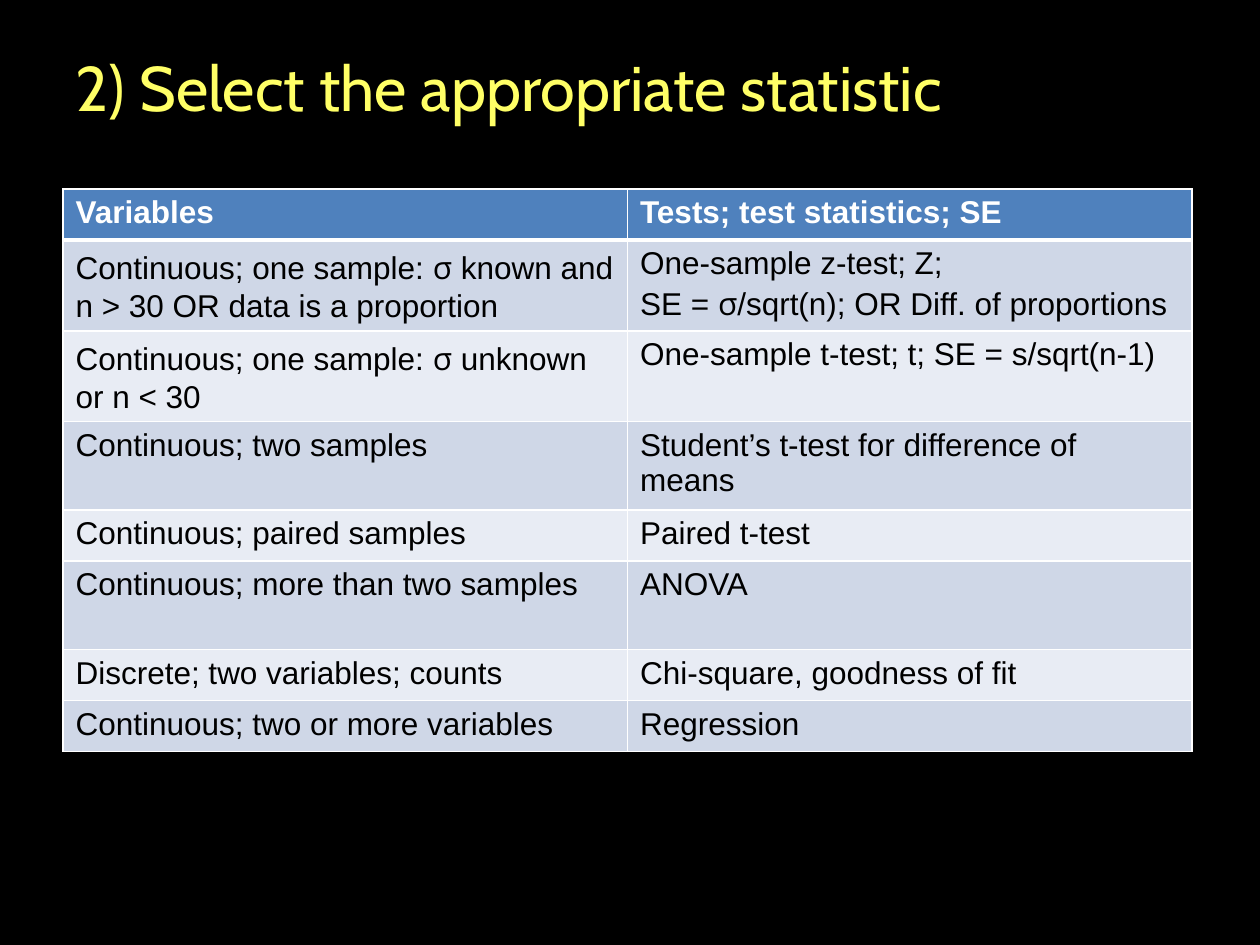
from dataclasses import dataclass

import pptx
import pptx.dml.color
import pptx.enum.text
import pptx.oxml
import pptx.oxml.ns
import pptx.util

Cm = pptx.util.Cm
Pt = pptx.util.Pt

COLOURS = {
    "background": "000000",
    "title": "FFFF66",
    "header": "4F81BD",
    "header_text": "FFFFFF",
    "odd_row": "CFD7E7",
    "even_row": "E8ECF4",
    "body_text": "000000",
    "border": "FFFFFF",
}
SINGLE_LINE = 1.03
DOUBLE_LINE = 1.78


@dataclass(frozen=True)
class TestRow:
    variables: str
    tests: str
    height: float = SINGLE_LINE


ROWS = [
    TestRow("Variables", "Tests; test statistics; SE"),
    TestRow(
        "Continuous; one sample: σ known and n > 30 OR data is a proportion",
        "One-sample z-test; Z;\nSE = σ/sqrt(n); OR Diff. of proportions",
        DOUBLE_LINE,
    ),
    TestRow(
        "Continuous; one sample: σ unknown or n < 30",
        "One-sample t-test; t; SE = s/sqrt(n-1)",
        DOUBLE_LINE,
    ),
    TestRow("Continuous; two samples", "Student’s t-test for difference of means", DOUBLE_LINE),
    TestRow("Continuous; paired samples", "Paired t-test"),
    TestRow("Continuous; more than two samples", "ANOVA", DOUBLE_LINE),
    TestRow("Discrete; two variables; counts", "Chi-square, goodness of fit"),
    TestRow("Continuous; two or more variables", "Regression"),
]


def rgb(name: str) -> pptx.dml.color.RGBColor:
    return pptx.dml.color.RGBColor.from_string(COLOURS[name])


def add_run(paragraph, text: str, font_name: str, size: int, colour: str, bold: bool = False) -> None:
    run = paragraph.add_run()
    run.text = text
    run.font.name = font_name
    run.font.size = Pt(size)
    run.font.bold = bold
    run.font.color.rgb = rgb(colour)


def write_cell(cell, text: str, is_header: bool) -> None:
    colour = "header_text" if is_header else "body_text"
    for index, line in enumerate(text.split("\n")):
        frame = cell.text_frame
        paragraph = frame.add_paragraph() if index else frame.paragraphs[0]
        before, sigma, after = line.partition("σ")
        for part, font_name in ((before, "Arial"), (sigma, "Open Sans"), (after, "Arial")):
            if part:
                add_run(paragraph, part, font_name, 18, colour, is_header)


def draw_borders(cell, top: int, bottom: int) -> None:
    properties = cell._tc.get_or_add_tcPr()
    widths = {"lnL": 1, "lnR": 1, "lnT": top, "lnB": bottom}
    for position, (side, width) in enumerate(widths.items()):
        properties.insert(position, pptx.oxml.parse_xml(
            f'<a:{side} {pptx.oxml.ns.nsdecls("a")} w="{Pt(width)}"><a:solidFill>'
            f'<a:srgbClr val="{COLOURS["border"]}"/></a:solidFill></a:{side}>'
        ))


def add_title(slide) -> None:
    title = slide.shapes.title
    title.left, title.top, title.width, title.height = Cm(1.27), Cm(0.84), Cm(21.03), Cm(1.8)
    title.text_frame.vertical_anchor = pptx.enum.text.MSO_ANCHOR.MIDDLE
    paragraph = title.text_frame.paragraphs[0]
    paragraph.alignment = pptx.enum.text.PP_ALIGN.LEFT
    add_run(paragraph, "2) Select the appropriate statistic", "Cabin", 36, "title")


def add_test_table(slide, rows: list[TestRow]) -> None:
    total_height = sum(row.height for row in rows)
    table = slide.shapes.add_table(
        len(rows), 2, Cm(1.27), Cm(3.81), Cm(22.76), Cm(total_height)
    ).table
    for index, row in enumerate(rows):
        table.rows[index].height = Cm(row.height)
        is_header = index == 0
        fill = "header" if is_header else "odd_row" if index % 2 else "even_row"
        for column, text in enumerate((row.variables, row.tests)):
            cell = table.cell(index, column)
            cell.fill.solid()
            cell.fill.fore_color.rgb = rgb(fill)
            draw_borders(cell, top=3 if index == 1 else 1, bottom=3 if is_header else 1)
            write_cell(cell, text, is_header)


def main() -> None:
    deck = pptx.Presentation()
    deck.slide_width, deck.slide_height = Cm(25.4), Cm(19.05)
    slide = deck.slides.add_slide(deck.slide_layouts.get_by_name("Title Only"))
    slide.background.fill.solid()
    slide.background.fill.fore_color.rgb = rgb("background")
    add_title(slide)
    add_test_table(slide, ROWS)
    deck.save("out.pptx")


if __name__ == "__main__":
    main()
